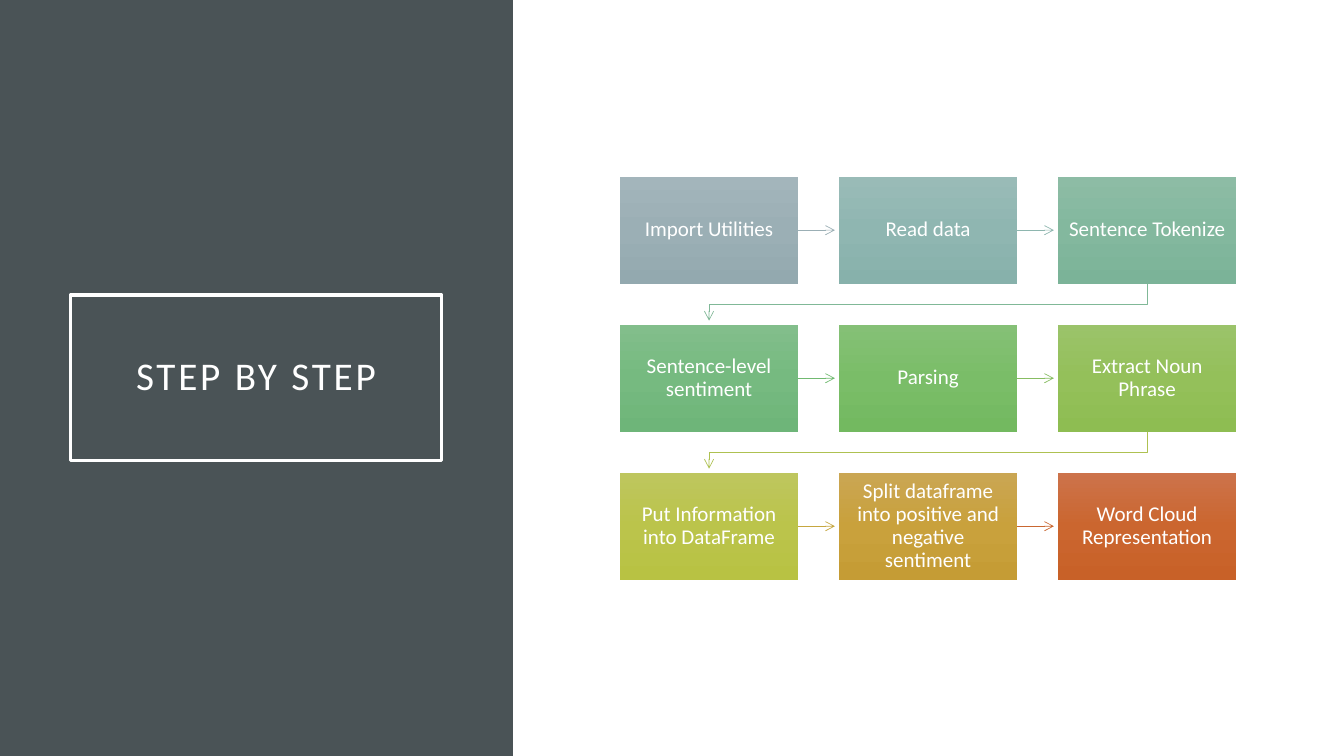
from copy import deepcopy

from lxml.etree import SubElement
from pptx import Presentation
from pptx.dml.color import RGBColor
from pptx.enum.shapes import MSO_CONNECTOR, MSO_SHAPE
from pptx.enum.text import MSO_ANCHOR, PP_ALIGN
from pptx.oxml.ns import qn
from pptx.util import Cm, Pt

FONT = "Calibri"
WHITE = RGBColor(0xFF, 0xFF, 0xFF)
SLATE = RGBColor(0x4A, 0x53, 0x56)
hex_color = RGBColor.from_string

# Grid of steps, in cm
COLS = 3
LEFT, TOP = 15.62, 4.45
BOX_W, BOX_H = 4.5, 2.7
PITCH_X, PITCH_Y = 5.52, 3.73
TIP_GAP = 0.1  # space between an arrow tip and the next box

# Text, gradient from top to bottom, colour of the arrow to the next step
STEPS = [
    ("Import Utilities", ("A3B5BB", "9BAFB5", "93A9AF"), "9BAFB5"),
    ("Read data", ("99BBB7", "8FB6B1", "87B1AB"), "8EB6AF"),
    ("Sentence Tokenize", ("8DBCA5", "83B89E", "7BB398"), "80B897"),
    ("Sentence-level sentiment", ("82BE8B", "76BA80", "6EB579"), "71BA71"),
    ("Parsing", ("85C076", "7ABD68", "73B960"), "87BD62"),
    ("Extract Noun Phrase", ("9BC36A", "94C05A", "8EBD52"), "AEC151"),
    ("Put Information into DataFrame", ("BEC65E", "BBC44B", "B8C243"), "C6A740"),
    ("Split dataframe into positive and negative sentiment",
     ("CAA653", "C9A13C", "C59C35"), "C96731"),
    ("Word Cloud Representation", ("CC734B", "CB662F", "C86128"), None),
]


def add_rect(s, left, top, width, height):
    sp = s.shapes.add_shape(MSO_SHAPE.RECTANGLE, Cm(left), Cm(top), Cm(width), Cm(height))
    sp.shadow.inherit = False
    sp.line.fill.background()
    return sp


def add_text(sp, text, size, inset):
    tf = sp.text_frame
    tf.word_wrap = True
    tf.vertical_anchor = MSO_ANCHOR.MIDDLE
    tf.margin_left = tf.margin_right = tf.margin_top = tf.margin_bottom = Cm(inset)
    p = tf.paragraphs[0]
    p.alignment = PP_ALIGN.CENTER
    p.line_spacing = 0.9
    r = p.add_run()
    r.text = text
    r.font.name = FONT
    r.font.size = Pt(size)
    r.font.color.rgb = WHITE
    return r


def fill_gradient(sp, colors):
    fill = sp.fill
    fill.gradient()
    fill.gradient_angle = 270
    # A new gradient has two stops; add the middle one
    first = sp._element.spPr.find(".//" + qn("a:gs"))
    first.addnext(deepcopy(first))
    for stop, color, position in zip(fill.gradient_stops, colors, (0, 0.5, 1)):
        stop.color.rgb = hex_color(color)
        stop.position = position


def style_arrow(sp, color):
    sp.line.color.rgb = hex_color(color)
    sp.line.width = Pt(0.5)
    SubElement(sp.line._get_or_add_ln(), qn("a:tailEnd"), type="arrow")


def add_step(s, index, text, colors):
    row, col = divmod(index, COLS)
    sp = add_rect(s, LEFT + col * PITCH_X, TOP + row * PITCH_Y, BOX_W, BOX_H)
    fill_gradient(sp, colors)
    add_text(sp, text, 15, 0.23)
    return sp


def add_side_arrow(s, box, following, color):
    y = box.top + box.height // 2
    cx = s.shapes.add_connector(MSO_CONNECTOR.STRAIGHT, box.left + box.width, y,
                                following.left - Cm(TIP_GAP), y)
    cx.begin_connect(box, 3)
    style_arrow(cx, color)
    SubElement(cx._element.spPr, qn("a:effectLst"))


def add_return_arrow(s, box, following, color):
    start_x = box.left + box.width // 2
    end_x = following.left + following.width // 2
    bottom = box.top + box.height
    middle = (bottom + following.top) // 2
    fb = s.shapes.build_freeform(start_x, bottom)
    fb.add_line_segments([(start_x, middle), (end_x, middle),
                          (end_x, following.top - Cm(TIP_GAP))], close=False)
    sp = fb.convert_to_shape()
    sp.shadow.inherit = False
    sp.fill.background()
    style_arrow(sp, color)


def add_title_panel(s):
    panel = add_rect(s, 0, 0, 12.93, 19.05)
    panel.fill.solid()
    panel.fill.fore_color.rgb = SLATE
    frame = add_rect(s, 1.78, 7.44, 9.35, 4.17)
    frame.fill.background()
    frame.line.color.rgb = WHITE
    frame.line.width = Pt(2.5)
    r = add_text(frame, "STEP BY STEP", 28, 0.5)
    r.font._element.set("spc", "200")  # letter spacing of 2 pt


def main():
    prs = Presentation()
    prs.slide_width, prs.slide_height = Cm(33.87), Cm(19.05)
    s = prs.slides.add_slide(prs.slide_layouts[6])

    # Title on the left
    add_title_panel(s)

    # Steps, row by row
    boxes = [add_step(s, i, text, colors) for i, (text, colors, _) in enumerate(STEPS)]

    # Arrows: sideways within a row, back to the left at its end
    for i, (box, following) in enumerate(zip(boxes, boxes[1:])):
        add_arrow = add_side_arrow if (i + 1) % COLS else add_return_arrow
        add_arrow(s, box, following, STEPS[i][2])

    prs.save("out.pptx")


if __name__ == "__main__":
    main()
